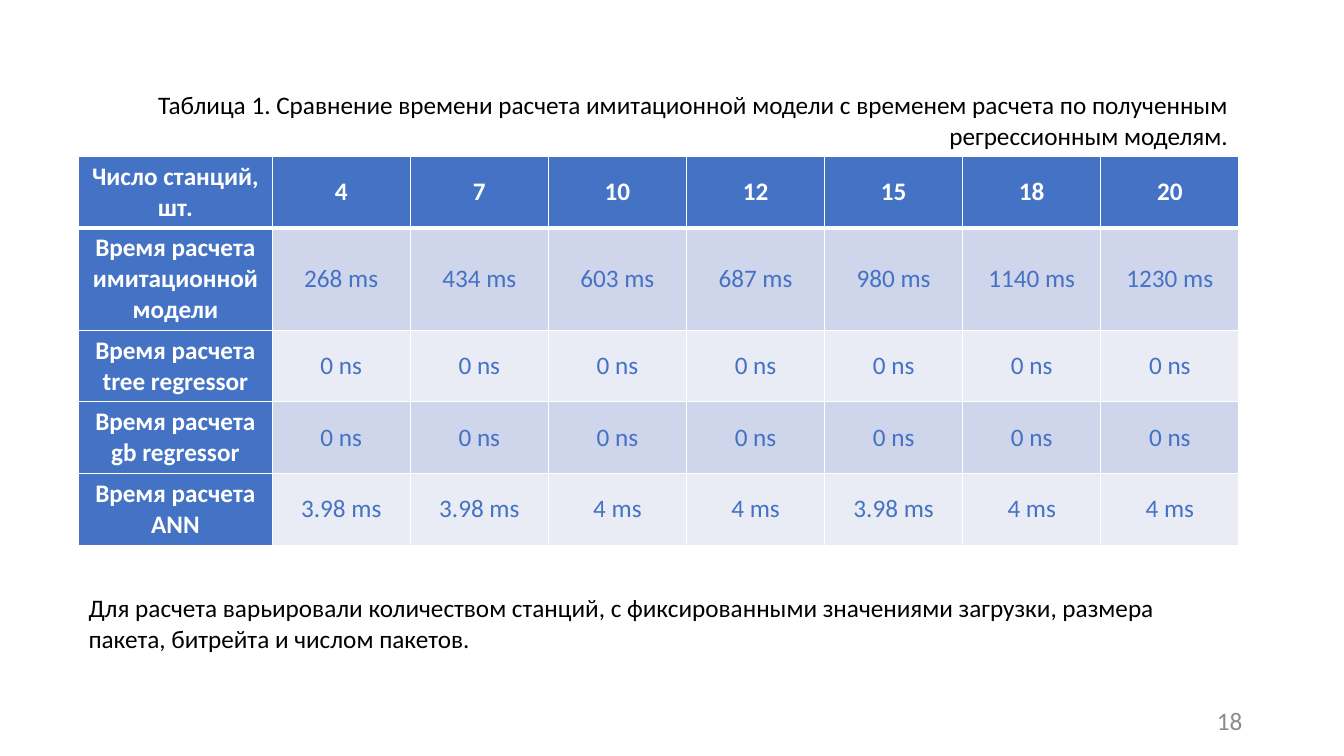
from lxml.etree import SubElement
from pptx import Presentation
from pptx.dml.color import RGBColor
from pptx.enum.text import MSO_ANCHOR as Anchor, PP_ALIGN as Align
from pptx.oxml.ns import qn
from pptx.util import Inches, Pt

COLORS = {
    "accent": "4472C4", "band_dark": "CFD5EA", "band_light": "E9EBF5",
    "white": "FFFFFF", "black": "000000", "gray": "8C8C8C",
}
LEFT, WIDTH = 0.78, 11.5
LINE_HEIGHT, PADDING = 0.3, 0.11
HEAD_COLUMN, VALUE_COLUMN = 1.92, 1.37


def write_text(frame, text, color="black", align=Align.LEFT, bold=False, anchor=Anchor.TOP):
    """Put one formatted paragraph into a text frame."""
    frame.word_wrap = True
    frame.vertical_anchor = anchor
    paragraph = frame.paragraphs[0]
    paragraph.alignment = align
    run = paragraph.add_run()
    run.text = text
    run.font.name, run.font.size, run.font.bold = "Calibri", Pt(18), bold
    run.font.color.rgb = RGBColor.from_string(COLORS[color])


def style_cell(cell, fill, bottom_width):
    """Give a table cell white borders and a solid fill."""
    properties = cell._tc.get_or_add_tcPr()
    for side, width in (("L", 1), ("R", 1), ("T", 1), ("B", bottom_width)):
        line = SubElement(properties, qn(f"a:ln{side}"), w=str(Pt(width)))
        SubElement(SubElement(line, qn("a:solidFill")), qn("a:srgbClr"), val=COLORS["white"])
    cell.fill.solid()
    cell.fill.fore_color.rgb = RGBColor.from_string(COLORS[fill])


presentation = Presentation()
presentation.slide_width, presentation.slide_height = Inches(13.33), Inches(7.5)
slide = presentation.slides.add_slide(presentation.slide_layouts[5])

# Table caption
caption = slide.shapes.title
caption.left, caption.top = Inches(LEFT), Inches(0.84)
caption.width, caption.height = Inches(WIDTH), Inches(0.71)
write_text(
    caption.text_frame,
    "Таблица 1. Сравнение времени расчета имитационной модели с временем расчета "
    "по полученным регрессионным моделям.",
    align=Align.RIGHT,
)

# Calculation times: text lines in the row, then its cells
rows = [
    (2, ["Число станций, шт.", "4", "7", "10", "12", "15", "18", "20"]),
    (3, ["Время расчета имитационной модели", "268 ms", "434 ms", "603 ms",
         "687 ms", "980 ms", "1140 ms", "1230 ms"]),
    (2, ["Время расчета tree regressor"] + ["0 ns"] * 7),
    (2, ["Время расчета gb regressor"] + ["0 ns"] * 7),
    (2, ["Время расчета ANN", "3.98 ms", "3.98 ms", "4 ms", "4 ms", "3.98 ms", "4 ms", "4 ms"]),
]
table_height = sum(lines * LINE_HEIGHT + PADDING for lines, _ in rows)
table = slide.shapes.add_table(
    len(rows), len(rows[0][1]), Inches(LEFT), Inches(1.55), Inches(WIDTH), Inches(table_height)
).table
table.first_col = True
for index, column in enumerate(table.columns):
    column.width = Inches(VALUE_COLUMN if index else HEAD_COLUMN)

for row_index, (lines, texts) in enumerate(rows):
    table.rows[row_index].height = Inches(lines * LINE_HEIGHT + PADDING)
    band = "band_dark" if row_index % 2 else "band_light"
    for column_index, text in enumerate(texts):
        cell = table.cell(row_index, column_index)
        is_head = row_index == 0 or column_index == 0
        style_cell(cell, "accent" if is_head else band, 1 if row_index else 3)
        cell.vertical_anchor = Anchor.MIDDLE
        write_text(cell.text_frame, text, color="white" if is_head else "accent",
                   align=Align.CENTER, bold=is_head, anchor=None)

# Note below the table
note = slide.shapes.add_textbox(Inches(LEFT), Inches(5.83), Inches(WIDTH), Inches(0.71))
write_text(
    note.text_frame,
    "Для расчета варьировали количеством станций, с фиксированными значениями загрузки, "
    "размера пакета, битрейта и числом пакетов.",
)

# Page number
page_number = slide.shapes.add_textbox(Inches(9.42), Inches(6.95), Inches(3), Inches(0.4))
write_text(page_number.text_frame, "18", color="gray", align=Align.RIGHT, anchor=Anchor.MIDDLE)

presentation.save("out.pptx")
